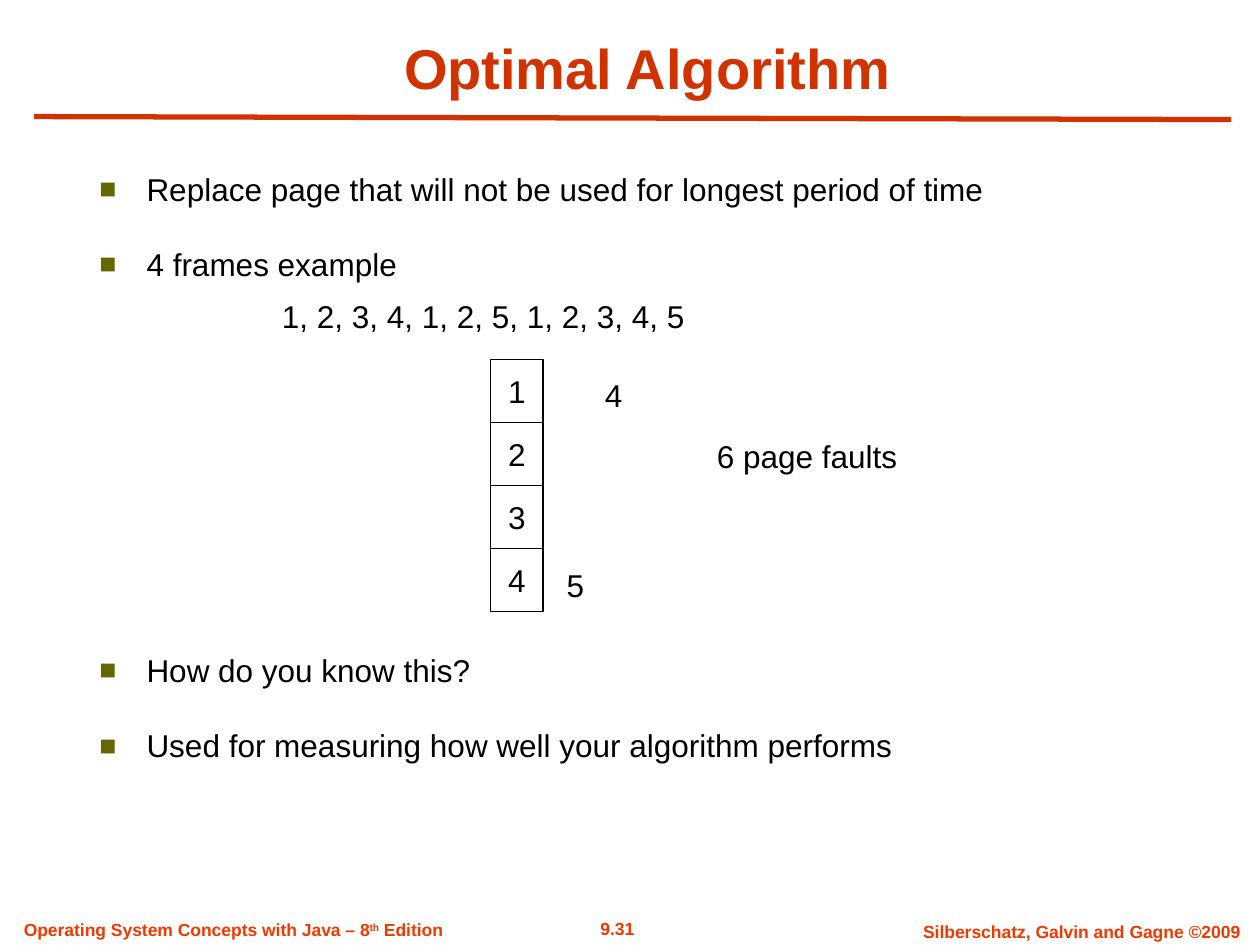
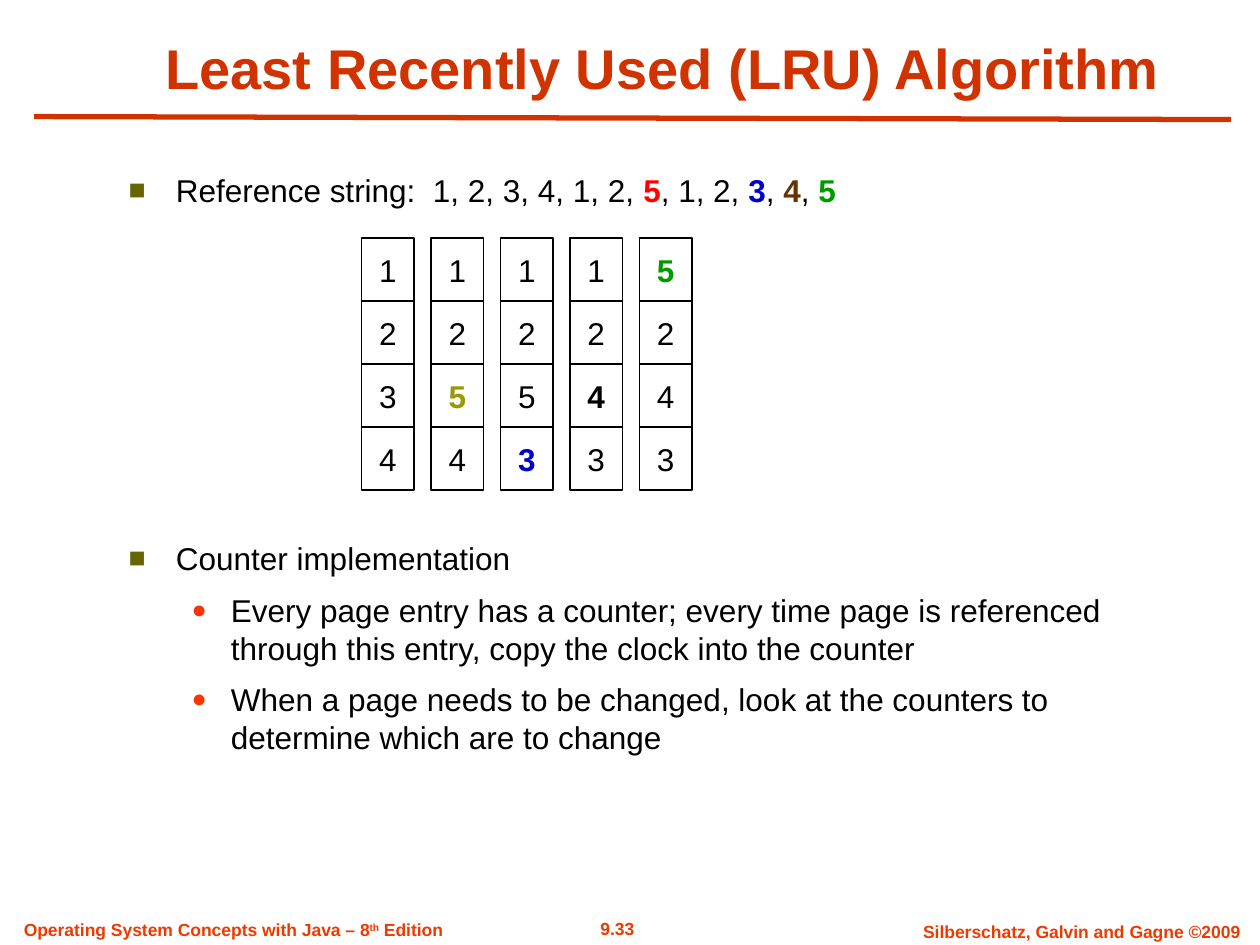
"""Build two slides on page replacement: the optimal and the LRU algorithm."""
from lxml import etree
from pptx import Presentation
from pptx import util as u
from pptx.dml.color import RGBColor
from pptx.enum import shapes, text
from pptx.oxml.ns import qn

FONT = "Arial"
BLACK, WHITE, RULE, FOOTER = "000000", "FFFFFF", "D03200", "EE3900"
OLIVE, ORANGE = "666600", "FF3300"
RED, BLUE, BROWN, GREEN, GOLD = "FF0000", "0000CC", "663300", "009900", "999900"
LEFT, CENTER = text.PP_ALIGN.LEFT, text.PP_ALIGN.CENTER
CELL_WIDTH, CELL_HEIGHT, COLUMN_PITCH = 1.06, 1.27, 1.4

# style: level, left margin, first-line indent (cm), bullet, bullet colour, bullet percent
STYLES = {
    "item": (0, 0.95, -0.95, "■", OLIVE, 90),
    "plain": (0, 3.68, 0, None, None, None),
    "subitem": (1, 2.06, -0.79, "●", ORANGE, 80),
}

SLIDES = [
    {
        "title": "Optimal Algorithm",
        "title_box": (1.98, 0.56, 22.15, 1.6),
        "number": "9.31",
        "body_box": (1.75, 3.3, 21.49, 14.12),
        "body": [
            ("item", 0, ["Replace page that will not be used for longest period of time"]),
            ("item", 21.4, ["4 frames example"]),
            ("plain", 7.9, ["1, 2, 3, 4, 1, 2, 5, 1, 2, 3, 4, 5"]),
            ("item", 180.8, ["How do you know this?"]),
            ("item", 21.4, ["Used for measuring how well your algorithm performs"]),
        ],
        "frames_at": (9.89, 7.25),
        "frames": [["1", "2", "3", "4"]],
        "labels": [
            ("4", (11.94, 7.46, 0.86, 1.02)),
            ("6 page faults", (14.2, 8.69, 4.14, 1.02)),
            ("5", (11.17, 11.28, 0.86, 1.02)),
        ],
    },
    {
        "title": "Least Recently Used (LRU) Algorithm",
        "title_box": (2.59, 0.56, 21.54, 1.6),
        "number": "9.33",
        "body_box": (2.34, 3.32, 20.42, 12.45),
        "body": [
            ("item", 0, ["Reference string:  1, 2, 3, 4, 1, 2, ", ("5", RED), ", 1, 2, ",
                         ("3", BLUE), ", ", ("4", BROWN), ", ", ("5", GREEN)]),
            ("item", 188.8, ["Counter implementation"]),
            ("subitem", 7.9, ["Every page entry has a counter; every time page is referenced "
                              "through this entry, copy the clock into the counter"]),
            ("subitem", 7.9, ["When a page needs to be changed, look at the counters to "
                              "determine which are to change"]),
        ],
        "frames_at": (7.29, 4.8),
        "frames": [
            ["1", "2", "3", "4"],
            ["1", "2", ("5", GOLD), "4"],
            ["1", "2", "5", ("3", BLUE)],
            ["1", "2", ("4", BLACK), "3"],
            [("5", GREEN), "2", "4", "3"],
        ],
        "labels": [],
    },
]


def colour(value):
    return RGBColor.from_string(value)


def lengths(*values):
    return [u.Cm(value) for value in values]


def add_run(paragraph, content, size, default=BLACK, bold=False, raised=False):
    """Add one run; a (text, colour) pair is emphasised in bold."""
    if isinstance(content, tuple):
        content, default = content
        bold = True
    run = paragraph.add_run()
    run.text = content
    run.font.name, run.font.size, run.font.bold = FONT, u.Pt(size), bold
    run.font.color.rgb = colour(default)
    if raised:
        run.font._element.set("baseline", "30000")


def format_paragraph(paragraph, style):
    """Set the level, indents and bullet of a body paragraph."""
    level, margin, indent, bullet, bullet_colour, percent = STYLES[style]
    paragraph.level = level
    properties = paragraph._p.get_or_add_pPr()
    properties.set("marL", str(u.Cm(margin)))
    properties.set("indent", str(u.Cm(indent)))
    if bullet is None:
        etree.SubElement(properties, qn("a:buNone"))
        return
    tint = etree.SubElement(properties, qn("a:buClr"))
    etree.SubElement(tint, qn("a:srgbClr"), val=bullet_colour)
    etree.SubElement(properties, qn("a:buSzPct"), val=str(percent * 1000))
    etree.SubElement(properties, qn("a:buFont"), typeface=FONT)
    etree.SubElement(properties, qn("a:buChar"), char=bullet)


def place(placeholder, box):
    """Move a placeholder and return its text frame."""
    placeholder.left, placeholder.top, placeholder.width, placeholder.height = lengths(*box)
    frame = placeholder.text_frame
    frame.word_wrap, frame.auto_size = True, text.MSO_AUTO_SIZE.NONE
    return frame


def add_title(slide, title, box):
    frame = place(slide.shapes.title, box)
    frame.vertical_anchor = text.MSO_ANCHOR.BOTTOM
    paragraph = frame.paragraphs[0]
    paragraph.alignment = CENTER
    add_run(paragraph, title, 32, RULE, bold=True)


def add_body(slide, items, box):
    frame = place(slide.placeholders[1], box)
    frame.vertical_anchor = text.MSO_ANCHOR.TOP
    for index, (style, gap, runs) in enumerate(items):
        paragraph = frame.add_paragraph() if index else frame.paragraphs[0]
        format_paragraph(paragraph, style)
        paragraph.alignment = LEFT
        paragraph.line_spacing = 1.0
        paragraph.space_before, paragraph.space_after = u.Pt(gap), u.Pt(0)
        for content in runs:
            add_run(paragraph, content, 18)


def add_text(slide, box, alignment, anchor, wrap=True):
    """Add a text box and return its first paragraph."""
    frame = slide.shapes.add_textbox(*lengths(*box)).text_frame
    frame.word_wrap, frame.vertical_anchor = wrap, anchor
    frame.paragraphs[0].alignment = alignment
    return frame.paragraphs[0]


def add_furniture(slide, number):
    """Add the rule under the title and the three footer texts."""
    rule = slide.shapes.add_connector(
        shapes.MSO_CONNECTOR.STRAIGHT, *lengths(0.69, 2.35, 24.82, 2.41))
    rule.line.color.rgb, rule.line.width = colour(RULE), u.Pt(3)
    etree.SubElement(rule._element.spPr, qn("a:effectLst"))
    footers = [
        ((11.2, 18.38, 2.49, 0.67), CENTER, [number]),
        ((18.25, 18.44, 7.11, 0.6), CENTER, ["Silberschatz, Galvin and Gagne ©2009"]),
        ((0.23, 18.4, 10, 0.65), LEFT,
         ["Operating System Concepts with Java – 8", "th", " Edition"]),
    ]
    for box, alignment, runs in footers:
        paragraph = add_text(slide, box, alignment, text.MSO_ANCHOR.TOP)
        for content in runs:
            add_run(paragraph, content, 10, FOOTER, bold=True, raised=content == "th")


def add_frames(slide, columns, origin):
    """Draw each column of memory frames as stacked cells."""
    left, top = origin
    for column, pages in enumerate(columns):
        for row, page in enumerate(pages):
            cell = slide.shapes.add_shape(shapes.MSO_SHAPE.RECTANGLE, *lengths(
                left + column * COLUMN_PITCH, top + row * CELL_HEIGHT,
                CELL_WIDTH, CELL_HEIGHT))
            cell.shadow.inherit = False
            cell.fill.solid()
            cell.fill.fore_color.rgb = colour(WHITE)
            cell.line.color.rgb, cell.line.width = colour(BLACK), u.Pt(0.75)
            cell.text_frame.word_wrap = False
            cell.text_frame.vertical_anchor = text.MSO_ANCHOR.MIDDLE
            paragraph = cell.text_frame.paragraphs[0]
            paragraph.alignment = CENTER
            add_run(paragraph, page, 18)


def main():
    presentation = Presentation()
    presentation.slide_width, presentation.slide_height = lengths(25.4, 19.05)
    for content in SLIDES:
        slide = presentation.slides.add_slide(presentation.slide_layouts[1])
        add_furniture(slide, content["number"])
        add_title(slide, content["title"], content["title_box"])
        add_body(slide, content["body"], content["body_box"])
        add_frames(slide, content["frames"], content["frames_at"])
        for label, box in content["labels"]:
            paragraph = add_text(slide, box, CENTER, text.MSO_ANCHOR.MIDDLE, wrap=False)
            add_run(paragraph, label, 18)
    presentation.save("out.pptx")


if __name__ == "__main__":
    main()
